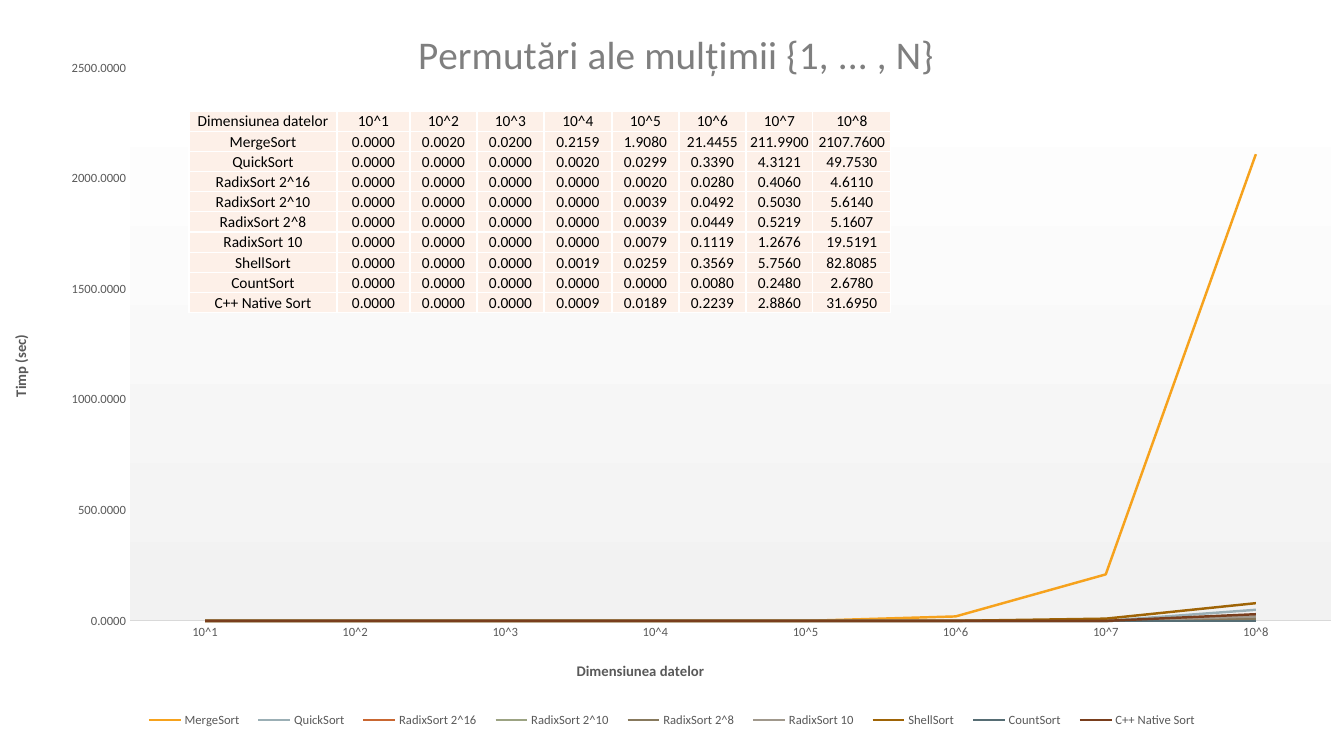
from lxml.etree import SubElement
from pptx import Presentation
from pptx.chart.data import CategoryChartData
from pptx.dml.color import RGBColor
from pptx.enum.chart import XL_CHART_TYPE, XL_LEGEND_POSITION, XL_TICK_MARK
from pptx.enum.text import MSO_ANCHOR, PP_ALIGN
from pptx.oxml import parse_xml
from pptx.oxml.ns import nsdecls, qn
from pptx.util import Inches, Pt

PIXEL = Inches(1) / 100.8
WIDTH, HEIGHT = 1344, 756
FONT = "Calibri"
BLACK = RGBColor(0x00, 0x00, 0x00)
WHITE = RGBColor(0xFF, 0xFF, 0xFF)
PALE_GRAY = RGBColor(0xF2, 0xF2, 0xF2)
AXIS_GRAY = RGBColor(0xD9, 0xD9, 0xD9)
TITLE_GRAY = RGBColor(0x7F, 0x7F, 0x7F)
TEXT_GRAY = RGBColor(0x59, 0x59, 0x59)
CELL_PEACH = RGBColor(0xFD, 0xF0, 0xE8)

SIZE_LABEL = "Dimensiunea datelor"
SIZES = [f"10^{power}" for power in range(1, 9)]
TIMINGS = [
    ("MergeSort", RGBColor(0xF6, 0xA2, 0x1D),
     [0, 0.002, 0.02, 0.2159, 1.908, 21.4455, 211.99, 2107.76]),
    ("QuickSort", RGBColor(0x9B, 0xAF, 0xB5),
     [0, 0, 0, 0.002, 0.0299, 0.339, 4.3121, 49.753]),
    ("RadixSort 2^16", RGBColor(0xC9, 0x67, 0x31),
     [0, 0, 0, 0, 0.002, 0.028, 0.406, 4.611]),
    ("RadixSort 2^10", RGBColor(0x9C, 0xA3, 0x83),
     [0, 0, 0, 0, 0.0039, 0.0492, 0.503, 5.614]),
    ("RadixSort 2^8", RGBColor(0x87, 0x79, 0x5D),
     [0, 0, 0, 0, 0.0039, 0.0449, 0.5219, 5.1607]),
    ("RadixSort 10", RGBColor(0xA0, 0x98, 0x8C),
     [0, 0, 0, 0, 0.0079, 0.1119, 1.2676, 19.5191]),
    ("ShellSort", RGBColor(0x9F, 0x64, 0x06),
     [0, 0, 0, 0.0019, 0.0259, 0.3569, 5.756, 82.8085]),
    ("CountSort", RGBColor(0x56, 0x6D, 0x74),
     [0, 0, 0, 0, 0, 0.008, 0.248, 2.678]),
    ("C++ Native Sort", RGBColor(0x79, 0x3E, 0x1D),
     [0, 0, 0, 0.0009, 0.0189, 0.2239, 2.886, 31.695]),
]


def px(pixels):
    return round(pixels * PIXEL)


def place(element, index, left, top, width=None, height=None, inner=False):
    """Give a chart part a manual layout, from pixels."""
    for old_layout in element.findall(qn("c:layout")):
        element.remove(old_layout)
    layout = parse_xml(f"<c:layout {nsdecls('c')}/>")
    manual = SubElement(layout, qn("c:manualLayout"))
    if inner:
        SubElement(manual, qn("c:layoutTarget")).set("val", "inner")
    for name in ("xMode", "yMode"):
        SubElement(manual, qn(f"c:{name}")).set("val", "edge")
    for name, pixels, full in (("x", left, WIDTH), ("y", top, HEIGHT),
                               ("w", width, WIDTH), ("h", height, HEIGHT)):
        if pixels is not None:
            SubElement(manual, qn(f"c:{name}")).set("val", str(pixels / full))
    element.insert(index, layout)


presentation = Presentation()
presentation.slide_width, presentation.slide_height = px(WIDTH), px(HEIGHT)
slide = presentation.slides.add_slide(presentation.slide_layouts[6])
slide.background.fill.solid()
slide.background.fill.fore_color.rgb = PALE_GRAY

# Line chart, with seconds rounded to tens
chart_data = CategoryChartData(number_format="0.0000")
chart_data.categories = SIZES
for name, color, seconds in TIMINGS:
    chart_data.add_series(name, [round(value / 10) * 10 for value in seconds])
chart = slide.shapes.add_chart(
    XL_CHART_TYPE.LINE, 0, 0, px(WIDTH), px(HEIGHT), chart_data).chart
chart.font.name = FONT
chart.font.size = Pt(10)
chart.font.color.rgb = BLACK
chart.plots[0].vary_by_categories = False
for series, (name, color, seconds) in zip(chart.plots[0].series, TIMINGS):
    series.smooth = False
    series.format.line.color.rgb = color
    series.format.line.width = Pt(1.75)

# Axes
size_axis, time_axis = chart.category_axis, chart.value_axis
for axis in (size_axis, time_axis):
    axis.has_major_gridlines = False
    axis.major_tick_mark = axis.minor_tick_mark = XL_TICK_MARK.NONE
size_axis.format.line.color.rgb = AXIS_GRAY
size_axis.format.line.width = Pt(0.75)
time_axis.format.line.fill.background()
time_axis.minimum_scale, time_axis.maximum_scale = 0, 2500
time_axis.major_unit = 500
time_axis.tick_labels.number_format = "0.0000"
time_axis.tick_labels.number_format_is_linked = False

# Legend
chart.has_legend = True
chart.legend.position = XL_LEGEND_POSITION.BOTTOM
chart.legend.include_in_layout = False
place(chart.legend._element, 1, 134, 708, 1076, 24)
for font in (size_axis.tick_labels.font, time_axis.tick_labels.font, chart.legend.font):
    font.name = FONT
    font.size = Pt(9)
    font.color.rgb = TEXT_GRAY

# Chart and axis titles
for title, text, size, bold, color, left, top in (
        (chart.chart_title, "Permutări ale mulțimii {1, ... , N}", 28, False, TITLE_GRAY, 411, 21),
        (size_axis.axis_title, SIZE_LABEL, 10.5, True, TEXT_GRAY, 574, 658),
        (time_axis.axis_title, "Timp (sec)", 10.5, True, TEXT_GRAY, 8, 332)):
    run = title.text_frame.paragraphs[0].add_run()
    run.text = text
    run.font.name = FONT
    run.font.size = Pt(size)
    run.font.bold = bold
    run.font.color.rgb = color
    if title is chart.chart_title or size == 28:
        run.font._element.set("spc", "20")
    place(title._element, 1, left, top)
chart.chart_title.include_in_layout = False

# Chart area and plot area
plot_area = chart._chartSpace.chart.plotArea
place(plot_area, 0, 130, 68, 1201, 553, inner=True)
plot_area.append(parse_xml(
    f'<c:spPr {nsdecls("c", "a")}><a:gradFill><a:gsLst>'
    f'<a:gs pos="0"><a:srgbClr val="{WHITE}"/></a:gs>'
    f'<a:gs pos="100000"><a:srgbClr val="{PALE_GRAY}"/></a:gs>'
    '</a:gsLst><a:lin ang="5400000" scaled="0"/></a:gradFill></c:spPr>'))
chart._chartSpace.chart.addnext(parse_xml(
    f'<c:spPr {nsdecls("c", "a")}><a:solidFill><a:srgbClr val="{WHITE}"/></a:solidFill>'
    '<a:ln><a:noFill/></a:ln></c:spPr>'))

# Table of timings
rows = [[SIZE_LABEL, *SIZES]]
rows += [[name, *(f"{value:.4f}" for value in seconds)] for name, color, seconds in TIMINGS]
column_widths = [148, 73, 67, 67, 68, 67, 67, 67, 78]
table = slide.shapes.add_table(
    len(rows), len(column_widths), px(189), px(111),
    px(sum(column_widths)), px(20) * len(rows)).table
table.first_row = table.horz_banding = False
for column, width in zip(table.columns, column_widths):
    column.width = px(width)
for table_row, texts in zip(table.rows, rows):
    table_row.height = Inches(0.2)
    for cell, text in zip(table_row.cells, texts):
        cell.margin_left = cell.margin_right = cell.margin_top = px(1)
        cell.margin_bottom = 0
        cell.vertical_anchor = MSO_ANCHOR.BOTTOM
        paragraph = cell.text_frame.paragraphs[0]
        paragraph.alignment = PP_ALIGN.CENTER
        run = paragraph.add_run()
        run.text = text
        run.font.name = FONT
        run.font.size = Pt(11)
        run.font.color.rgb = BLACK
        properties = cell._tc.get_or_add_tcPr()
        for side in ("lnL", "lnR", "lnT", "lnB"):
            border = SubElement(properties, qn(f"a:{side}"), w=str(Pt(1)))
            border_fill = SubElement(border, qn("a:solidFill"))
            SubElement(border_fill, qn("a:srgbClr"), val=str(WHITE))
        cell.fill.solid()
        cell.fill.fore_color.rgb = CELL_PEACH

presentation.save("out.pptx")
